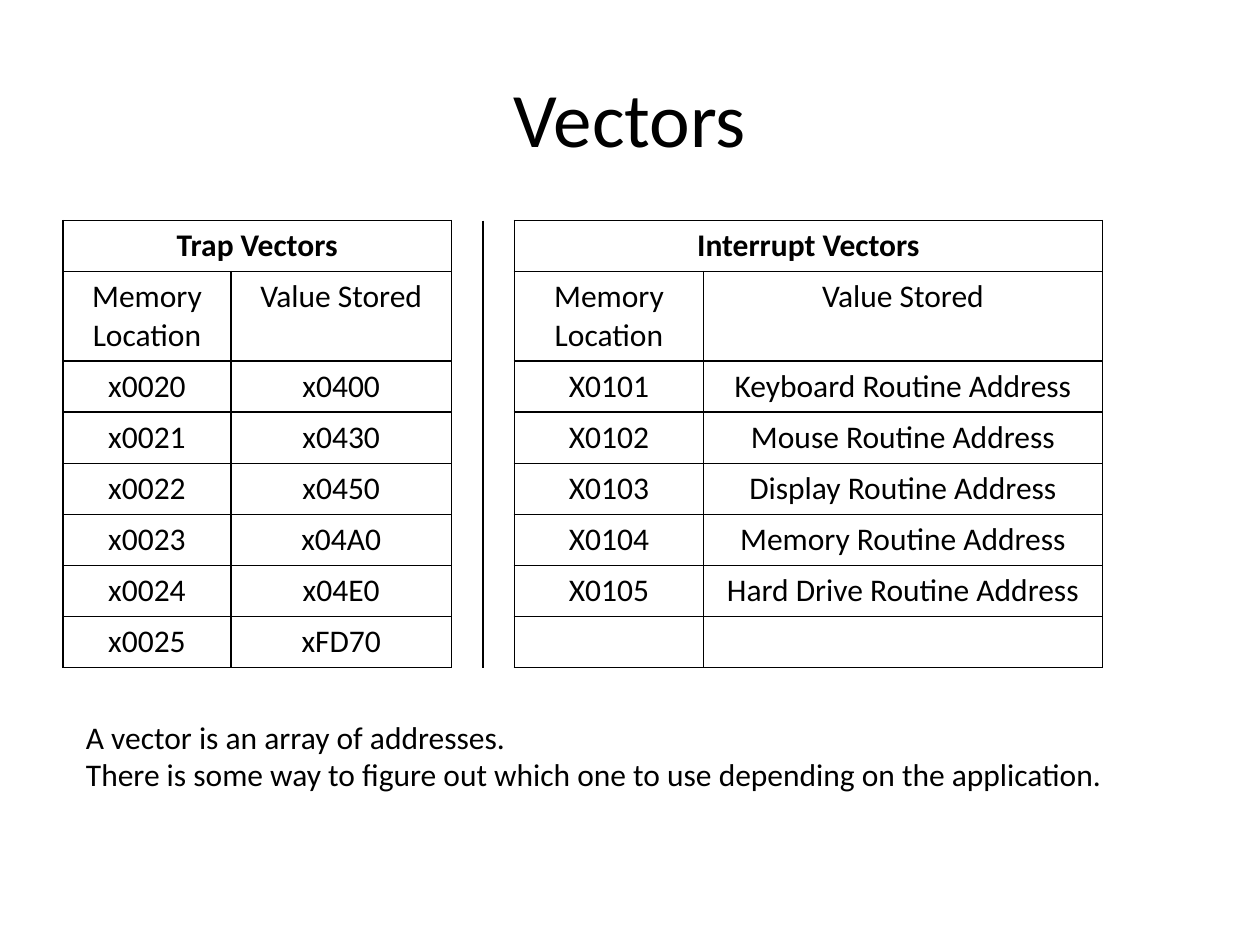
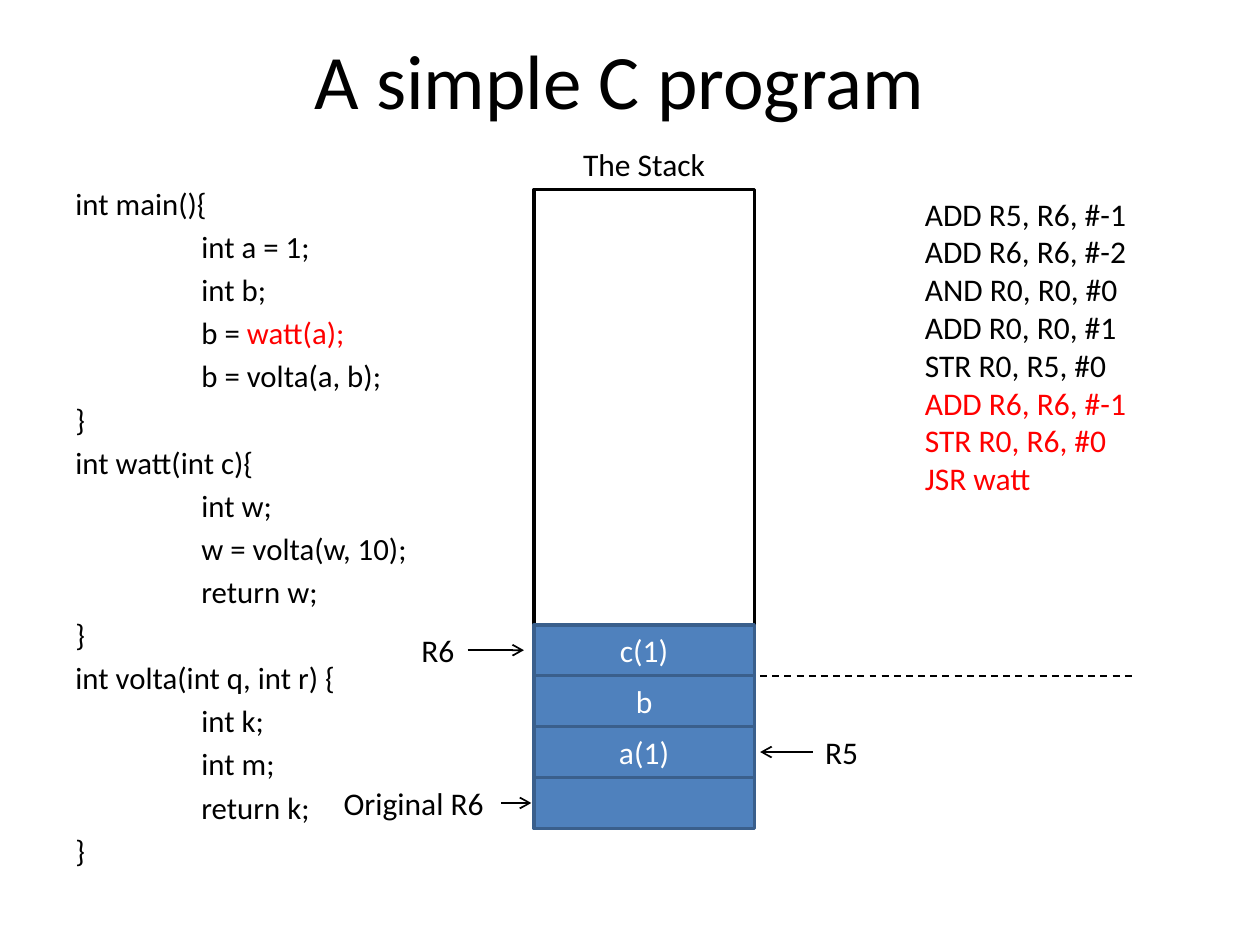
from dataclasses import dataclass

from lxml.etree import SubElement
from pptx import Presentation
from pptx.dml.color import RGBColor as Rgb
from pptx.enum.dml import MSO_LINE_DASH_STYLE as Dash
from pptx.enum.shapes import MSO_CONNECTOR as Connector, MSO_SHAPE as Shape
from pptx.enum.text import MSO_ANCHOR as Anchor, PP_ALIGN as Align
from pptx.oxml.ns import qn
from pptx.util import Inches, Pt

COLUMNS, ROWS = 120, 90  # grid laid over each slide
TAB = 12  # columns from the text edge to the tab stop


@dataclass(frozen=True)
class Theme:
    font: str = "Calibri"
    title_size: float = 44
    text_size: float = 18
    code_size: float = 17.6
    code_gap: float = 3.52
    thin: float = 1
    thick: float = 2
    ink: str = "000000"
    highlight: str = "FF0000"
    cell_fill: str = "4F81BD"
    cell_line: str = "3A5F8C"
    cell_text: str = "FFFFFF"


class SlideBuilder:
    def __init__(self, deck, theme):
        self.deck, self.theme = deck, theme
        self.slide = None

    def x(self, columns):
        return round(self.deck.slide_width * columns / COLUMNS)

    def y(self, rows):
        return round(self.deck.slide_height * rows / ROWS)

    def area(self, left, top, width, height):
        return self.x(left), self.y(top), self.x(width), self.y(height)

    def new_slide(self, title, left, top):
        self.slide = self.deck.slides.add_slide(self.deck.slide_layouts[6])
        self.text([title], left, top, 108, 15, size=self.theme.title_size,
                  align=Align.CENTER, anchor=Anchor.MIDDLE)

    def style(self, para, size=None, color=None, align=None):
        """Set the paragraph's alignment and font; color None leaves it to the spans."""
        if align is not None:
            para.alignment = align
        font = para.font
        font.name = self.theme.font
        font.size = Pt(size or self.theme.text_size)
        if color:
            font.color.rgb = Rgb.from_string(color)

    def tab_stop(self, para):
        stops = SubElement(para._p.get_or_add_pPr(), qn("a:tabLst"))
        SubElement(stops, qn("a:tab"), pos=str(self.x(TAB)), algn="l")

    def text(self, lines, left, top, width, height, size=None, align=Align.LEFT,
             anchor=Anchor.TOP, gap=0, wrap=True):
        """Each line is a list of (text, color) spans, or a string in ink."""
        frame = self.slide.shapes.add_textbox(*self.area(left, top, width, height)).text_frame
        frame.word_wrap, frame.vertical_anchor = wrap, anchor
        for index, line in enumerate(lines):
            para = frame.add_paragraph() if index else frame.paragraphs[0]
            spans = [(line, self.theme.ink)] if isinstance(line, str) else line
            if spans[0][0].startswith("\t"):
                self.tab_stop(para)
            if index and gap:
                para.space_before = Pt(gap)
            shared = spans[0][1] if len(spans) == 1 else None
            self.style(para, size, shared, align)
            for words, color in spans:
                span = para.add_run()
                span.text = words
                if not shared:
                    span.font.color.rgb = Rgb.from_string(color)

    def rectangle(self, left, top, width, height, line, fill=None, label=""):
        box = self.slide.shapes.add_shape(Shape.RECTANGLE, *self.area(left, top, width, height))
        box.shadow.inherit = False
        box.line.color.rgb = Rgb.from_string(line)
        box.line.width = Pt(self.theme.thick)
        if fill:
            box.fill.solid()
            box.fill.fore_color.rgb = Rgb.from_string(fill)
        else:
            box.fill.background()
        if label:
            box.text_frame.vertical_anchor = Anchor.MIDDLE
            para = box.text_frame.paragraphs[0]
            para.text = label
            self.style(para, color=self.theme.cell_text, align=Align.CENTER)

    def line(self, start, end, row, arrow=False, dash=None):
        line = self.slide.shapes.add_connector(
            Connector.STRAIGHT, self.x(start), self.y(row), self.x(end), self.y(row))
        line.line.color.rgb = Rgb.from_string(self.theme.ink)
        line.line.width = Pt(self.theme.thin)
        if dash:
            line.line.dash_style = dash
        if arrow:
            SubElement(line.line._get_or_add_ln(), qn("a:tailEnd"), type="arrow")
        SubElement(line._element.spPr, qn("a:effectLst"))

    def pointer(self, label, start, tip, center, width, height):
        """A label with an arrow leading from it to the tip."""
        self.line(start, tip, center, arrow=True)
        left = start - width if tip > start else start
        self.text([label], left, center - height / 2, width, height, wrap=False)

    def border(self, cell, sides):
        properties = cell._tc.get_or_add_tcPr()
        for side in "LRTB":
            edge = SubElement(properties, qn(f"a:ln{side}"), w=str(Pt(self.theme.thin)))
            if side in sides:
                fill = SubElement(edge, qn("a:solidFill"))
                SubElement(fill, qn("a:srgbClr"), val=self.theme.ink)
            else:
                SubElement(edge, qn("a:noFill"))

    def table(self, rows, left, top, widths, heights, merges, open_sides):
        """open_sides gives the drawn borders of columns that are not fully boxed."""
        frame = self.slide.shapes.add_table(
            len(rows), len(widths), *self.area(left, top, sum(widths), sum(heights)))
        table = frame.table
        table.first_row = table.horz_banding = False
        for column, width in zip(table.columns, widths):
            column.width = self.x(width)
        for row, height in zip(table.rows, heights):
            row.height = self.y(height)
        for row_index, row in enumerate(rows):
            for column_index, words in enumerate(row):
                cell = table.cell(row_index, column_index)
                self.border(cell, open_sides.get(column_index, "LRTB"))
                cell.fill.background()
                para = cell.text_frame.paragraphs[0]
                para.text = words
                self.style(para, color=self.theme.ink, align=Align.CENTER)
                para.font.bold = row_index == 0
        for column in merges:
            table.cell(0, column).merge(table.cell(0, column + 1))


def vectors_slide(builder):
    builder.new_slide("Vectors", 6, 3.6)

    # Trap and interrupt tables, parted by two empty columns
    header = ["Memory Location", "Value Stored"]
    traps = [["Trap Vectors", ""], header,
             ["x0020", "x0400"], ["x0021", "x0430"], ["x0022", "x0450"],
             ["x0023", "x04A0"], ["x0024", "x04E0"], ["x0025", "xFD70"]]
    devices = ["Keyboard", "Mouse", "Display", "Memory", "Hard Drive"]
    interrupts = [["Interrupt Vectors", ""], header]
    interrupts += [[f"X010{number}", f"{device} Routine Address"]
                   for number, device in enumerate(devices, 1)]
    interrupts.append(["", ""])
    rows = [trap + ["", ""] + interrupt for trap, interrupt in zip(traps, interrupts)]
    builder.table(rows, 6, 21, widths=[16, 21, 3, 3, 18, 38],
                  heights=[4.87, 8.53] + [4.87] * 6, merges=[0, 4],
                  open_sides={2: "LR", 3: "LR"})

    # Explanation
    builder.text(["A vector is an array of addresses.",
                  "There is some way to figure out which one to use "
                  "depending on the application."], 7, 67.75, 100.4, 8.5, wrap=False)


def program_slide(builder):
    theme = builder.theme
    builder.new_slide("A simple C program", 5, 0)

    # C source
    code = ["int main(){", "\tint a = 1;", "\tint b;",
            [("\tb = ", theme.ink), ("watt(a);", theme.highlight)],
            "\tb = volta(a, b);", "}",
            "int watt(int c){", "\tint w;", "\tw = volta(w, 10);", "\treturn w;", "}",
            "int volta(int q, int r) {", "\tint k;", "\tint m;", "\treturn k;", "}"]
    builder.text(code, 6, 17, 35.6, 59.4, size=theme.code_size, gap=theme.code_gap)

    # Stack, with its cells from top to bottom
    stack_left, stack_top, stack_width = 50.84, 18.05, 21
    first_cell, cell_height = 59.5, 4.85
    cells = ["c(1)", "b", "a(1)", ""]
    builder.text(["The Stack"], stack_left + 3, 13.2, 15, cell_height, align=Align.CENTER)
    builder.rectangle(stack_left, stack_top, stack_width, 56, theme.ink)
    for index, label in enumerate(cells):
        builder.rectangle(stack_left, first_cell + index * cell_height, stack_width,
                          cell_height, theme.cell_line, theme.cell_fill, label)

    # Register pointers: label, cell, arrow start, arrow tip, label width
    for label, index, start, tip, width in [("R6", 0, 44.55, 49.9, 5.6),
                                            ("R5", 2, 77.4, 72.4, 5.6),
                                            ("Original R6", 3, 47.75, 50.6, 16.2)]:
        center = first_cell + (index + 0.5) * cell_height
        builder.pointer(label, start, tip, center, width, cell_height)
    builder.line(72.4, 108, first_cell + cell_height, dash=Dash.DASH)

    # Assembly, with the call to watt highlighted
    setup = ["ADD R5, R6, #-1", "ADD R6, R6, #-2", "AND R0, R0, #0",
             "ADD R0, R0, #1", "STR R0, R5, #0"]
    call = ["ADD R6, R6, #-1", "STR R0, R6, #0", "JSR watt"]
    assembly = [[("\t" + line, theme.ink)] for line in setup]
    assembly += [[("\t" + line, theme.highlight)] for line in call]
    builder.text(assembly, 74.9, 17.95, 37.2, 30.2)


def main():
    deck = Presentation()
    deck.slide_width, deck.slide_height = Inches(10), Inches(7.5)
    builder = SlideBuilder(deck, Theme())
    vectors_slide(builder)
    program_slide(builder)
    deck.save("out.pptx")


if __name__ == "__main__":
    main()
